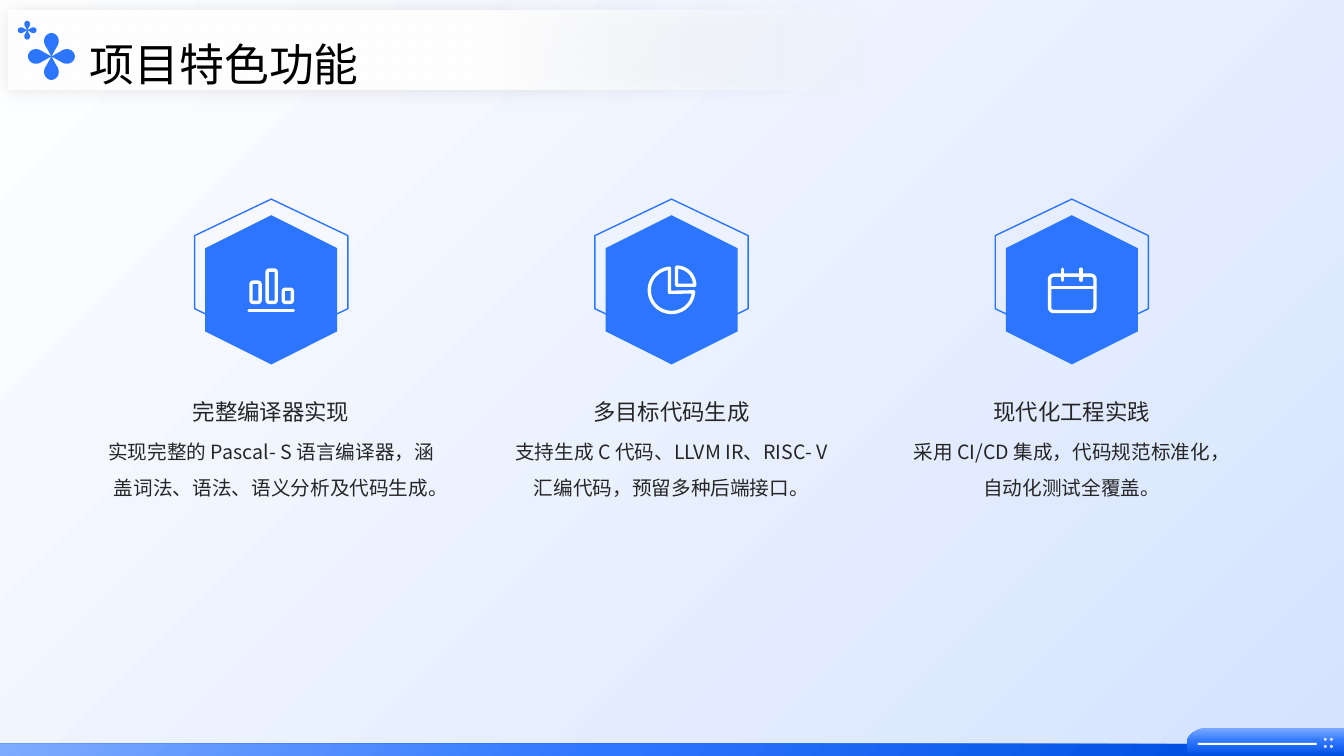
import math

from lxml import etree
from pptx import Presentation
from pptx import util as u
from pptx.dml.color import RGBColor
from pptx.enum import shapes, text
from pptx.oxml import ns

FONT = "Noto Sans CJK SC"
BLUE = RGBColor(0x2C, 0x75, 0xFF)
LIGHT_BLUE = RGBColor(0x7E, 0xAB, 0xFF)
DEEP_BLUE = RGBColor(0x00, 0x4E, 0xE0)
PALE_BLUE = RGBColor(0xD5, 0xE3, 0xFF)
WHITE = RGBColor(0xFF, 0xFF, 0xFF)
BLACK = RGBColor(0x00, 0x00, 0x00)
INK = RGBColor(0x26, 0x26, 0x26)

ICON_Y = 2.88
FIRST_CENTER, PITCH = 2.69, 3.97
TEXT_WIDTH = 3.29


def bezier(*points, n=10):
    (ax, ay), (bx, by), (cx, cy), (dx, dy) = points
    out = []
    for i in range(n + 1):
        t = i / n
        k = ((1 - t) ** 3, 3 * t * (1 - t) ** 2, 3 * t * t * (1 - t), t ** 3)
        out.append((k[0] * ax + k[1] * bx + k[2] * cx + k[3] * dx,
                    k[0] * ay + k[1] * by + k[2] * cy + k[3] * dy))
    return out


def arc(cx, cy, r, start, end, n=36):
    angles = [math.radians(start + (end - start) * i / n) for i in range(n + 1)]
    return [(cx + r * math.cos(a), cy + r * math.sin(a)) for a in angles]


def rounded(x, y, w, h, r):
    corners = ((x + w - r, y + r, 270), (x + w - r, y + h - r, 0),
               (x + r, y + h - r, 90), (x + r, y + r, 180))
    return [p for cx, cy, a in corners for p in arc(cx, cy, r, a, a + 90, 6)]


def flower(cx, cy, scale):
    petal = ([(0, 0)] + bezier((.09, .05), (.13, .08), (.18, .08), (.21, .05))
             + bezier((.21, .05), (.24, .02), (.24, -.02), (.21, -.05))
             + bezier((.21, -.05), (.18, -.08), (.13, -.08), (.09, -.05)))
    turns = ((1, 0), (0, 1), (-1, 0), (0, -1))
    return [(cx + scale * (x * c - y * d), cy + scale * (x * d + y * c))
            for c, d in turns for x, y in petal]


def bar_icon():
    bars = ((-.2, -.08), (-.04, -.2), (.12, -.01))
    return [(rounded(x, y, .09, .12 - y, .02), True) for x, y in bars] + [
        ([(-.22, .2), (.22, .2)], False)]


def pie_icon():
    return [(arc(0, 0, .22, 4, 265) + [(-.02, .02)], True),
            (arc(.05, -.05, .18, 270, 360) + [(.05, -.05)], True)]


def calendar_icon():
    return [(rounded(-.22, -.15, .45, .36, .04), True),
            ([(-.22, -.03), (.23, -.03)], False)] + [
        ([(x, -.21), (x, -.1)], False) for x in (-.09, .09)]


class Deck:
    def __init__(self):
        self.prs = Presentation()
        self.prs.slide_width, self.prs.slide_height = u.Inches(13.33), u.Inches(7.5)
        self.slide = self.prs.slides.add_slide(self.prs.slide_layouts[5])
        self.shapes = self.slide.shapes

    def paint(self, sp, fill=None, line=None, width=1):
        sp.shadow.inherit = False
        if fill is None:
            sp.fill.background()
        else:
            sp.fill.solid()
            sp.fill.fore_color.rgb = fill
        if line is None:
            sp.line.fill.background()
        else:
            sp.line.color.rgb = line
            sp.line.width = u.Pt(width)
        return sp

    def shape(self, kind, x, y, w, h, fill=None, line=None):
        sp = self.shapes.add_shape(kind, u.Inches(x), u.Inches(y), u.Inches(w), u.Inches(h))
        return self.paint(sp, fill, line)

    def outline(self, contours, fill=None, line=None, width=1, dx=0, dy=0):
        builder = None
        for points, closed in contours:
            pts = [(u.Inches(x + dx), u.Inches(y + dy)) for x, y in points]
            if builder is None:
                builder = self.shapes.build_freeform(*pts[0])
            else:
                builder.move_to(*pts[0])
            builder.add_line_segments(pts[1:], close=closed)
        return self.paint(builder.convert_to_shape(), fill, line, width)

    def gradient(self, sp, stops, angle=None):
        grad = etree.Element(ns.qn("a:gradFill"), rotWithShape="1")
        stop_list = etree.SubElement(grad, ns.qn("a:gsLst"))
        for pos, color, alpha in stops:
            gs = etree.SubElement(stop_list, ns.qn("a:gs"), pos=str(pos * 1000))
            clr = etree.SubElement(gs, ns.qn("a:srgbClr"), val=str(color))
            if alpha < 100:
                etree.SubElement(clr, ns.qn("a:alpha"), val=str(alpha * 1000))
        if angle is None:
            circle = etree.SubElement(grad, ns.qn("a:path"), path="circle")
            etree.SubElement(circle, ns.qn("a:fillToRect"), r="100000", b="100000")
        else:
            etree.SubElement(grad, ns.qn("a:lin"), ang=str(angle * 60000), scaled="0")
        props = sp.element.spPr
        props.replace(props.find(ns.qn("a:solidFill")), grad)

    def soft_shadow(self, sp, blur, alpha):
        effects = sp.element.spPr.find(ns.qn("a:effectLst"))
        shadow = etree.SubElement(effects, ns.qn("a:outerShdw"), blurRad=str(int(u.Pt(blur))),
                                  dist="0", dir="0", algn="ctr", rotWithShape="0")
        clr = etree.SubElement(shadow, ns.qn("a:srgbClr"), val=str(BLACK))
        etree.SubElement(clr, ns.qn("a:alpha"), val=str(alpha * 1000))

    def set_text(self, sp, words, size, color, spacing, align, anchor):
        tf = sp.text_frame
        tf.text = words
        tf.word_wrap = True
        tf.auto_size = text.MSO_AUTO_SIZE.NONE
        tf.vertical_anchor = anchor
        tf.margin_left = tf.margin_right = tf.margin_top = tf.margin_bottom = 0
        p = tf.paragraphs[0]
        p.alignment, p.line_spacing = align, spacing
        r = p.runs[0]
        r.font.size, r.font.name, r.font.color.rgb = u.Pt(size), FONT, color
        r.font.bold = False
        ea = etree.Element(ns.qn("a:ea"), typeface=FONT)
        r.font._element.find(ns.qn("a:latin")).addnext(ea)

    def label(self, words, x, y, w, h, size, spacing, anchor):
        sp = self.shapes.add_textbox(u.Inches(x), u.Inches(y), u.Inches(w), u.Inches(h))
        self.set_text(sp, words, size, INK, spacing, text.PP_ALIGN.CENTER, anchor)

    def title(self, words, x, y, w, h):
        sp = self.slide.shapes.title
        sp.left, sp.top, sp.width, sp.height = (u.Inches(v) for v in (x, y, w, h))
        self.set_text(sp, words, 32, BLACK, 1.5, text.PP_ALIGN.LEFT, text.MSO_ANCHOR.MIDDLE)
        sp.element.getparent().append(sp.element)

    def badge(self, cx, icon):
        self.shapes = self.slide.shapes.add_group_shape().shapes
        for y, w, h, fill, line in ((1.94, 1.45, 1.52, None, BLUE), (2.22, 1.48, 1.31, BLUE, None)):
            sp = self.shape(shapes.MSO_SHAPE.HEXAGON, cx - w / 2, y, w, h, fill, line)
            sp.rotation = 90
        sp = self.outline(icon, line=WHITE, width=2.4, dx=cx, dy=ICON_Y)
        sp.element.spPr.find(ns.qn("a:ln")).set("cap", "rnd")
        self.shapes = self.slide.shapes

    def feature(self, cx, heading, body, icon):
        x = cx - TEXT_WIDTH / 2
        self.label(body, x, 4.25, TEXT_WIDTH, 1.71, 14, 1.5, text.MSO_ANCHOR.TOP)
        self.badge(cx, icon)
        self.label(heading, x, 3.71, TEXT_WIDTH, .51, 16, 1.3, text.MSO_ANCHOR.BOTTOM)


def main():
    d = Deck()
    rect, oval = shapes.MSO_SHAPE.RECTANGLE, shapes.MSO_SHAPE.OVAL
    backdrop = d.shape(rect, 0, 0, 13.33, 7.5, WHITE)
    d.gradient(backdrop, [(0, WHITE, 100), (100, PALE_BLUE, 100)], 45)

    footer_end = bezier((12.21, 7.38), (12.25, 7.38), (12.29, 7.41), (12.29, 7.45))
    footer = d.outline([([(0, 7.38)] + footer_end + [(12.27, 7.5), (0, 7.5)], True)], BLUE)
    blues = [(0, LIGHT_BLUE, 100), (50, BLUE, 100), (100, DEEP_BLUE, 100)]
    d.gradient(footer, blues)
    tab_corner = bezier((11.77, 7.38), (11.77, 7.29), (11.87, 7.22), (11.98, 7.22))
    tab = d.outline([(tab_corner + [(13.33, 7.22), (13.33, 7.5), (11.77, 7.5)], True)], BLUE)
    d.gradient(tab, blues, 90)
    d.shape(rect, 11.88, 7.37, 1.18, .02, WHITE)
    for x in (13.13, 13.19):
        for y in (7.32, 7.39):
            d.shape(oval, x, y, .03, .03, PALE_BLUE)

    features = (
        ("完整编译器实现", "实现完整的 Pascal- S 语言编译器，涵盖词法、语法、语义分析及代码生成。", bar_icon()),
        ("多目标代码生成", "支持生成 C 代码、LLVM IR、RISC- V 汇编代码，预留多种后端接口。", pie_icon()),
        ("现代化工程实践", "采用 CI/CD 集成，代码规范标准化，自动化测试全覆盖。", calendar_icon()),
    )
    for i, feature in enumerate(features):
        d.feature(FIRST_CENTER + i * PITCH, *feature)

    band = d.shape(rect, .09, .1, 11.55, .79, WHITE)
    d.gradient(band, [(25, WHITE, 0), (60, WHITE, 100)], 180)
    d.soft_shadow(band, 13, 10)
    d.title("项目特色功能", .89, .26, 8.51, .47)
    for cx, cy, scale in ((.51, .56, 1), (.27, .3, .4)):
        d.outline([(flower(cx, cy, scale), True)], BLUE)
    d.prs.save("out.pptx")


if __name__ == "__main__":
    main()
